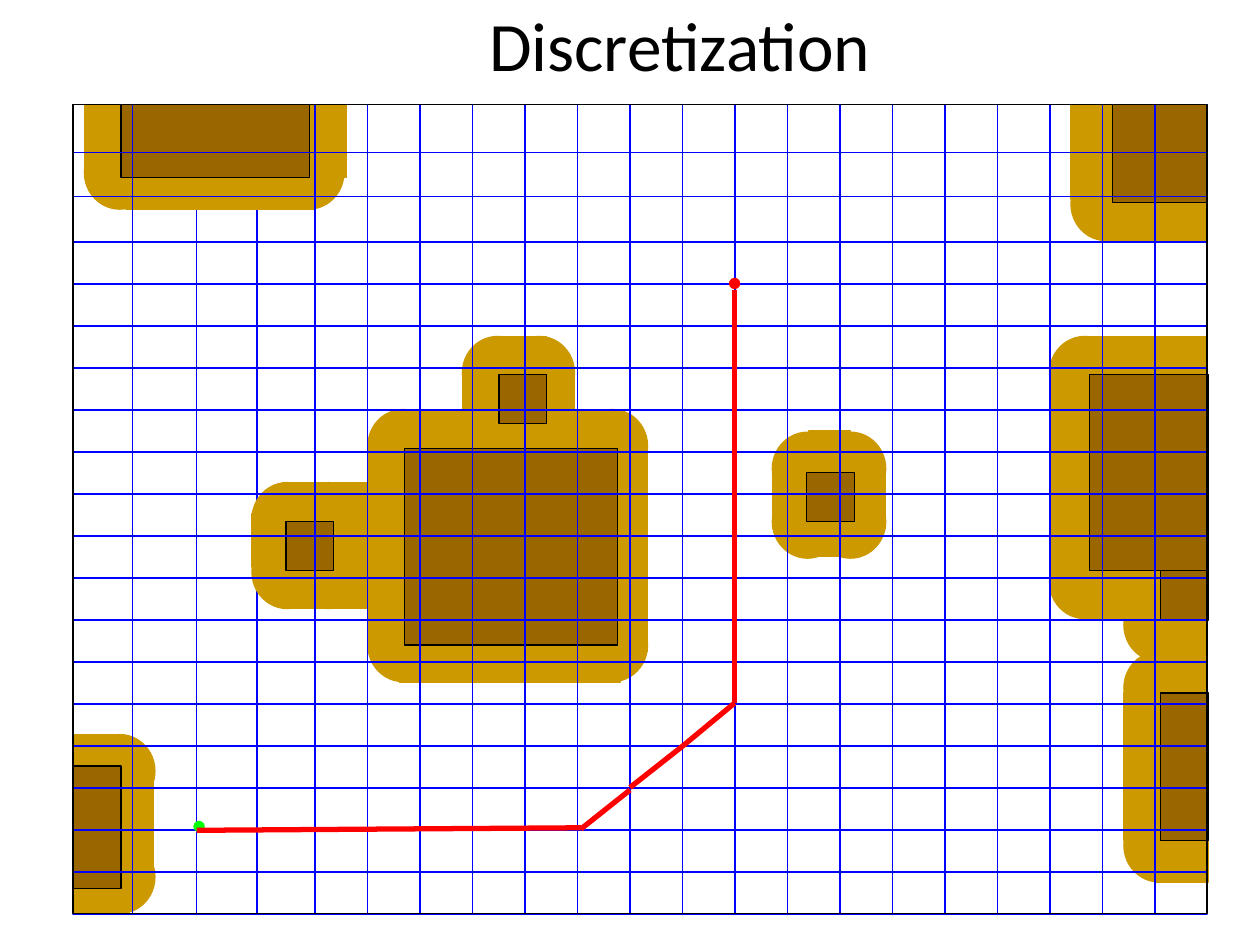
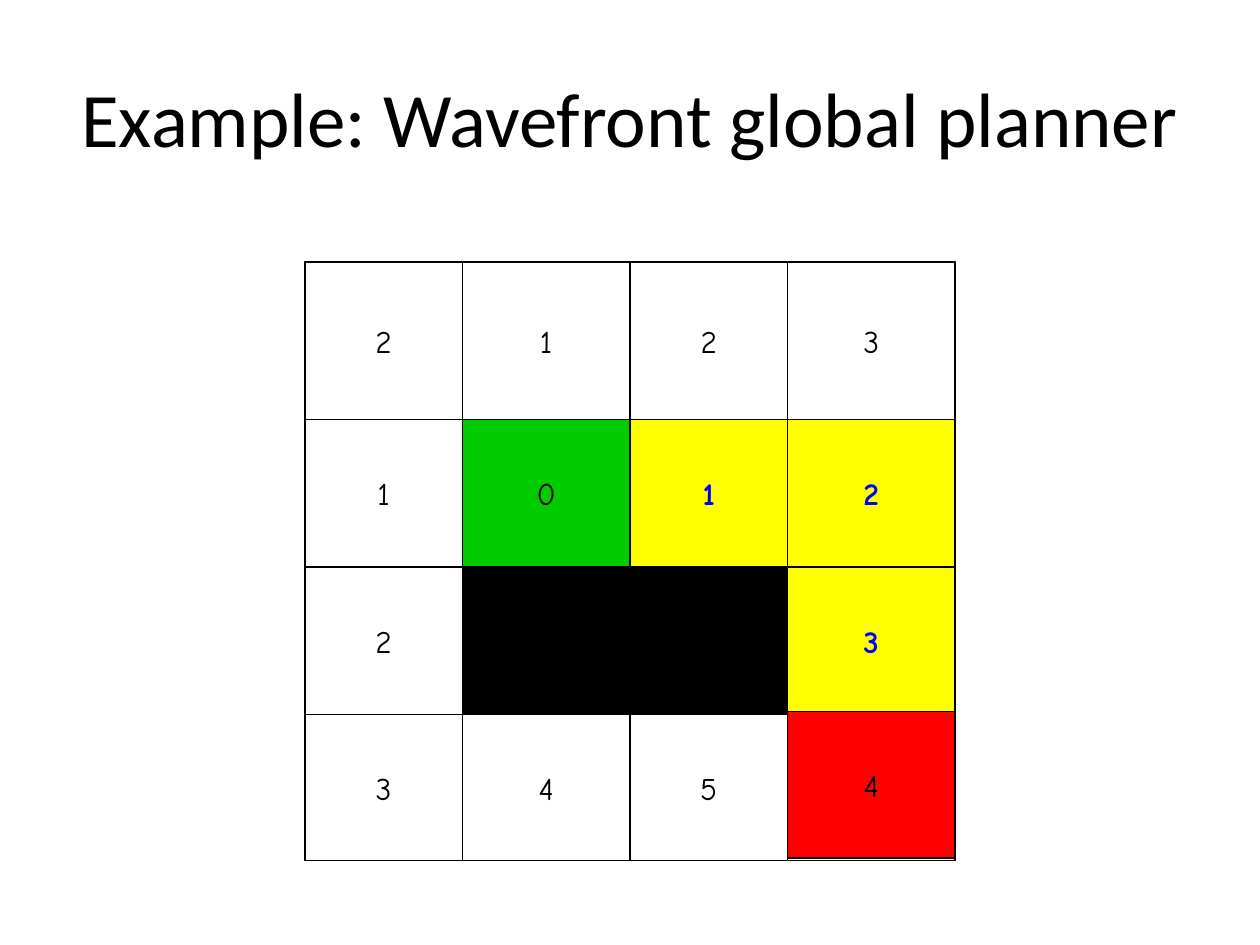
from dataclasses import dataclass
from itertools import pairwise, product
from typing import Any, Optional

from lxml import etree
from pptx import Presentation
from pptx.dml.color import RGBColor
from pptx.enum import shapes, text
from pptx.oxml import ns
from pptx.util import Inches, Pt

# Shared colours and styles
BLACK, WHITE, BLUE, RED = "000000", "FFFFFF", "0000FF", "FF0000"
GREEN, LIME, YELLOW = "00CC00", "00FF00", "FFFF00"
HALO, CORE = "CC9900", "996600"
RECT, OVAL = shapes.MSO_SHAPE.RECTANGLE, shapes.MSO_SHAPE.OVAL
HEAD = {"name": "Calibri", "bold": False}
DIGIT = {"name": "Comic Neue", "size": Pt(18)}

Box = tuple[float, float, float, float]
Point = tuple[float, float]


@dataclass
class Block:
    """An obstacle: its core, the pads around it and the round corners."""
    core: Box
    pads: list[Box]
    dots: list[Point]


@dataclass
class Cell:
    """A numbered square of the wavefront grid."""
    row: int
    col: int
    label: str
    fill: str = WHITE
    ink: str = BLACK
    bold: bool = False
    edge: float = 0.75
    lift: float = 0


# Helpers
def tint(code: str) -> RGBColor:
    return RGBColor.from_string(code)


def style(item: Any, form: dict[str, Any]) -> None:
    for name, value in form.items():
        setattr(item, name, value)


def draw(slide: Any, kind: Any, box: Box, fill: Optional[str] = None,
         line: str = BLACK, width: float = 0.75) -> Any:
    shape = slide.shapes.add_shape(kind, *map(Inches, box))
    shape.shadow.inherit = False
    if fill:
        shape.fill.solid()
        shape.fill.fore_color.rgb = tint(fill)
    else:
        shape.fill.background()
    shape.line.color.rgb = tint(line)
    shape.line.width = Pt(width)
    return shape


def link(slide: Any, start: Point, end: Point, color: str = BLACK,
         width: float = 0.75) -> Any:
    line = slide.shapes.add_connector(
        shapes.MSO_CONNECTOR.STRAIGHT, *map(Inches, start + end))
    line.line.color.rgb = tint(color)
    line.line.width = Pt(width)
    etree.SubElement(line._element.spPr, ns.qn("a:effectLst"))
    return line


def write(shape: Any, words: str, form: dict[str, Any], ink: str) -> None:
    frame = shape.text_frame
    frame.text = words
    frame.vertical_anchor = text.MSO_ANCHOR.MIDDLE
    para = frame.paragraphs[0]
    para.alignment = text.PP_ALIGN.CENTER
    font = para.runs[0].font
    style(font, form)
    font.color.rgb = tint(ink)


def start(deck: Any, words: str, box: Box, size: float) -> Any:
    slide = deck.slides.add_slide(deck.slide_layouts[5])
    title = slide.shapes.title
    style(title, dict(zip(("left", "top", "width", "height"), map(Inches, box))))
    write(title, words, HEAD | {"size": Pt(size)}, BLACK)
    title.text_frame.auto_size = text.MSO_AUTO_SIZE.NONE
    return slide


# Room map
LEFT, TOP, WIDE, HIGH = 0.58, 0.83, 9, 6.42
COLS = [LEFT, 1.05, 1.56, 2.04] + [2.5 + k * 5 / 12 for k in range(18)]
ROWS = [TOP, 1.21, 1.56] + [1.92 + k / 3 for k in range(17)]
BACKCOL, BACKROW = 2, 17
OPENCOLS, OPENROWS = {1, 3}, {1}


def ring(xs: Point, ys: Point) -> list[Point]:
    return list(product(xs, ys))


BLOCKS = [
    Block((0.58, 6.08, 0.38, 0.97),
          [(0.58, 5.83, 0.33, 1.42), (0.58, 6.08, 0.64, 0.92)],
          [(0.67, 5.83), (0.67, 6.67)]),
    Block((3.21, 3.56, 1.69, 1.56),
          [(2.92, 3.5, 2.22, 1.67), (3.17, 3.25, 1.75, 2.17)],
          ring((2.92, 4.58), (3.25, 4.83))),
    Block((3.96, 2.97, 0.38, 0.39),
          [(3.92, 2.67, 0.42, 0.67), (3.67, 3, 0.89, 0.42)],
          ring((3.67, 4), (2.67, 3.08))),
    Block((2.27, 4.14, 0.38, 0.39),
          [(2.25, 3.83, 0.92, 1), (2, 4.08, 1, 0.42)],
          ring((2, 2.33), (3.83, 4.25))),
    Block((6.4, 3.75, 0.38, 0.39),
          [(6.13, 3.67, 0.9, 0.52), (6.42, 3.42, 0.33, 1)],
          ring((6.13, 6.47), (3.43, 3.85))),
    Block((0.96, 0.83, 1.5, 0.58),
          [(0.67, 0.83, 2.08, 0.58), (1, 1.08, 1.5, 0.58)],
          [(0.67, 1.08), (2.17, 1.08)]),
    Block((8.83, 0.83, 0.75, 0.78),
          [(8.5, 0.83, 0.58, 0.75), (8.75, 1.5, 0.83, 0.42)],
          [(8.5, 1.33)]),
    Block((8.65, 2.97, 0.94, 1.56),
          [(8.58, 2.67, 1, 0.42), (8.33, 2.92, 0.5, 1.67),
           (8.58, 4.5, 0.75, 0.42)],
          [(8.33, 2.67), (8.33, 4.33)]),
    Block((9.21, 4.53, 0.38, 0.39),
          [(9.25, 4.83, 0.33, 0.75)],
          [(8.92, 4.67)]),
    Block((9.21, 5.5, 0.38, 1.17),
          [(8.92, 5.5, 0.42, 1.17), (9.17, 6.67, 0.42, 0.33)],
          [(8.92, 5.17), (8.92, 6.42)]),
]
ROUTE = [
    ((5.83, 2.3), (5.83, 5.58)),
    ((5.83, 5.58), (5.42, 5.92)),
    ((5.42, 5.92), (5, 6.25)),
    ((5, 6.27), (4.61, 6.58)),
    ((4.61, 6.57), (1.56, 6.59)),
]


def room(deck: Any) -> None:
    slide = start(deck, "Discretization", (0.79, 0, 9.21, 0.7), 39.6)
    cols = [(a, TOP, b - a, HIGH) for a, b in pairwise(COLS)]
    rows = [(LEFT, a, WIDE, b - a) for a, b in pairwise(ROWS)]

    # Bands behind the obstacles
    for band in (rows[BACKROW], cols[BACKCOL]):
        draw(slide, RECT, band, line=BLUE)

    # Obstacles
    for block in BLOCKS:
        for dot in block.dots:
            draw(slide, OVAL, (*dot, 0.56, 0.58), HALO, HALO)
    for block in BLOCKS:
        for pad in block.pads:
            draw(slide, RECT, pad, HALO, HALO)
        draw(slide, RECT, block.core, CORE)

    # Grid and outer frame
    for bands, skip in ((rows, OPENROWS | {BACKROW}),
                        (cols, OPENCOLS | {BACKCOL})):
        for k, band in enumerate(bands):
            if k not in skip:
                draw(slide, RECT, band, line=BLUE)
    draw(slide, RECT, (LEFT, TOP, WIDE, HIGH))

    # Start, goal and route
    draw(slide, OVAL, (1.54, 6.52, 0.08, 0.08), LIME, LIME)
    draw(slide, OVAL, (5.79, 2.21, 0.08, 0.08), RED, RED)
    for begin, end in ROUTE:
        link(slide, begin, end, RED, 3)


# Wavefront grid
XS = [2.42, 3.67, 5, 6.25, 7.58]
YS = [2.08, 3.33, 4.5, 5.67, 6.83]
TRAIL = {"fill": YELLOW, "ink": BLUE, "bold": True, "edge": 1}
CELLS = [
    *(Cell(0, k, label) for k, label in enumerate("2123")),
    Cell(1, 0, "1"),
    Cell(2, 0, "2"),
    *(Cell(3, k, label) for k, label in enumerate("345")),
    Cell(2, 3, "3", **TRAIL),
    Cell(1, 3, "2", **TRAIL),
    Cell(1, 2, "1", **TRAIL),
    Cell(3, 3, "4", RED, lift=0.02),
    Cell(1, 1, "0", GREEN),
]


def span(row: int, col: int, wide: int = 1) -> Box:
    return (XS[col], YS[row], XS[col + wide] - XS[col], YS[row + 1] - YS[row])


def wave(deck: Any) -> None:
    slide = start(deck, "Example: Wavefront global planner",
                  (0.5, 0.3, 9, 1.25), 44)

    # Frame and dividers
    frame = draw(slide, RECT, (XS[0], YS[0], XS[-1] - XS[0], YS[-1] - YS[0]))
    for x in XS[1:-1]:
        line = link(slide, (x, YS[0]), (x, YS[-1]))
        if x == 5:
            line.begin_connect(frame, 0)
            line.end_connect(frame, 2)
    for y in YS[1:-1]:
        link(slide, (XS[0], y), (XS[-1], y))

    # Wall and numbered cells
    draw(slide, RECT, span(2, 1, 2), BLACK)
    for cell in CELLS:
        x, y, wide, high = span(cell.row, cell.col)
        shape = draw(slide, RECT, (x, y - cell.lift, wide, high),
                     cell.fill, width=cell.edge)
        write(shape, cell.label, DIGIT | {"bold": cell.bold}, cell.ink)
        shape.text_frame.word_wrap = False


def main() -> None:
    deck = Presentation()
    style(deck, {"slide_width": Inches(10), "slide_height": Inches(7.5)})
    room(deck)
    wave(deck)
    deck.save("out.pptx")


if __name__ == "__main__":
    main()
